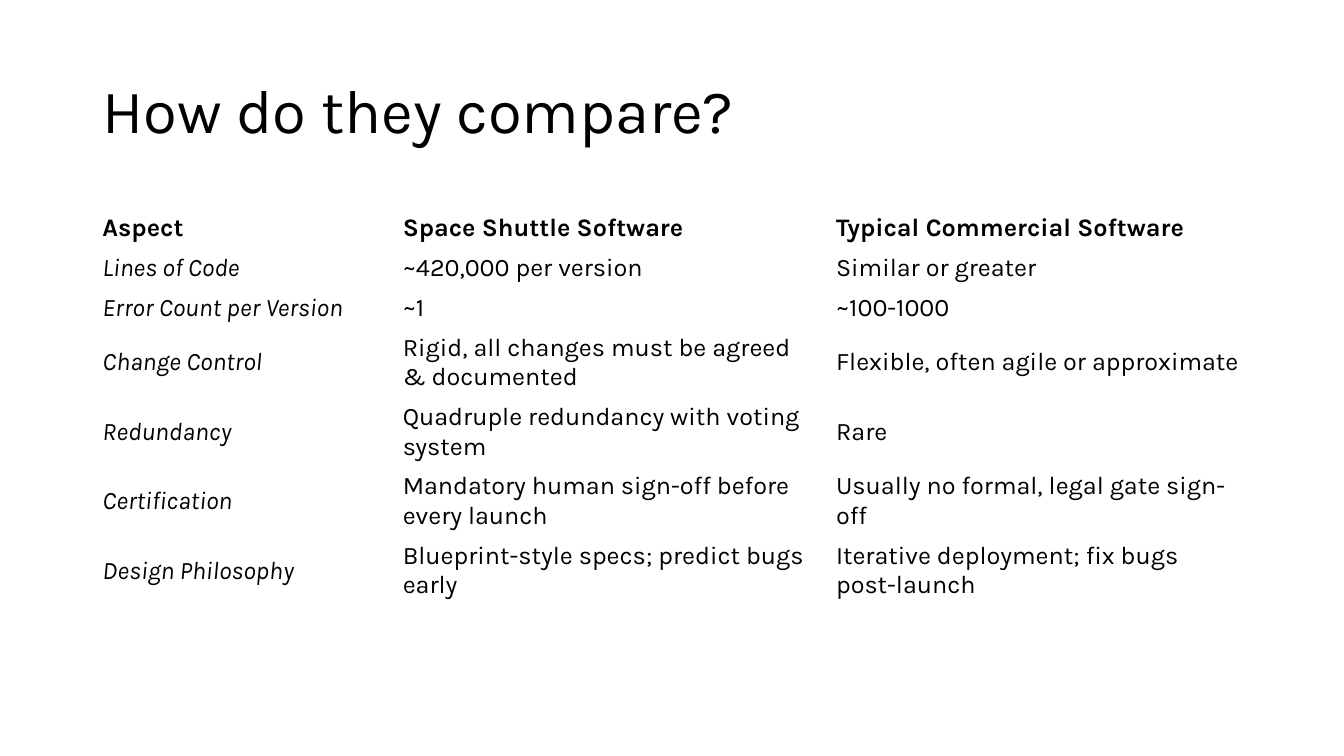
from dataclasses import dataclass

from pptx import Presentation
from pptx.dml.color import RGBColor
from pptx.enum.text import MSO_ANCHOR, MSO_AUTO_SIZE, PP_ALIGN
from pptx.slide import Slide
from pptx.text.text import TextFrame
from pptx.util import Pt

LEFT = PP_ALIGN.LEFT
MIDDLE = MSO_ANCHOR.MIDDLE
NO_FIT = MSO_AUTO_SIZE.NONE
TITLE_ONLY = 5


@dataclass(frozen=True)
class Theme:
    font: str = "Karla"
    ink: RGBColor = RGBColor(0, 0, 0)
    paper: RGBColor = RGBColor(255, 255, 255)
    title: float = 44
    body: float = 18


@dataclass(frozen=True)
class Row:
    aspect: str
    shuttle: str
    typical: str
    lines: int = 1
    head: bool = False


THEME = Theme()
EDGE, SPAN = 66, 828
COLS = (214.5, 309.5, 304)
LINE, PAD = 21.2, 7.2
ROWS = (
    Row("Aspect", "Space Shuttle Software", "Typical Commercial Software", head=True),
    Row("Lines of Code", "~420,000 per version", "Similar or greater"),
    Row("Error Count per Version", "~1", "~100-1000"),
    Row("Change Control", "Rigid, all changes must be agreed & documented",
        "Flexible, often agile or approximate", 2),
    Row("Redundancy", "Quadruple redundancy with voting system", "Rare", 2),
    Row("Certification", "Mandatory human sign-off before every launch",
        "Usually no formal, legal gate sign-off", 2),
    Row("Design Philosophy", "Blueprint-style specs; predict bugs early",
        "Iterative deployment; fix bugs post-launch", 2),
)


def write(frame: TextFrame, text: str, *, size: float, bold: bool = False,
          slant: bool = False, pitch: float = 1.0) -> None:
    para = frame.paragraphs[0]
    para.alignment = LEFT
    para.line_spacing = pitch
    run = para.add_run()
    run.text = text
    font = run.font
    font.name, font.size = THEME.font, Pt(size)
    font.bold, font.italic = bold, slant
    font.color.rgb = THEME.ink


def add_title(slide: Slide, text: str) -> None:
    title = slide.shapes.title
    title.left, title.top = Pt(EDGE), Pt(28.75)
    title.width, title.height = Pt(SPAN), Pt(104.4)
    frame = title.text_frame
    frame.word_wrap = True
    frame.auto_size = NO_FIT
    frame.vertical_anchor = MIDDLE
    write(frame, text, size=THEME.title, pitch=0.9)


def add_grid(slide: Slide, rows: tuple[Row, ...]) -> None:
    highs = [row.lines * LINE + PAD for row in rows]
    table = slide.shapes.add_table(
        len(rows), len(COLS), Pt(EDGE), Pt(149), Pt(SPAN), Pt(sum(highs))
    ).table
    table.first_row = table.horz_banding = False
    for col, width in zip(table.columns, COLS):
        col.width = Pt(width)
    for line, row, high in zip(table.rows, rows, highs):
        line.height = Pt(high)
        texts = (row.aspect, row.shuttle, row.typical)
        for index, (cell, text) in enumerate(zip(line.cells, texts)):
            cell.fill.background()
            cell.vertical_anchor = MIDDLE
            write(cell.text_frame, text, size=THEME.body, bold=row.head,
                  slant=index == 0 and not row.head)


def main() -> None:
    deck = Presentation()
    deck.slide_width, deck.slide_height = Pt(960), Pt(540)
    slide = deck.slides.add_slide(deck.slide_layouts[TITLE_ONLY])
    fill = slide.background.fill
    fill.solid()
    fill.fore_color.rgb = THEME.paper
    add_title(slide, "How do they compare?")
    add_grid(slide, ROWS)
    deck.save("out.pptx")


if __name__ == "__main__":
    main()
